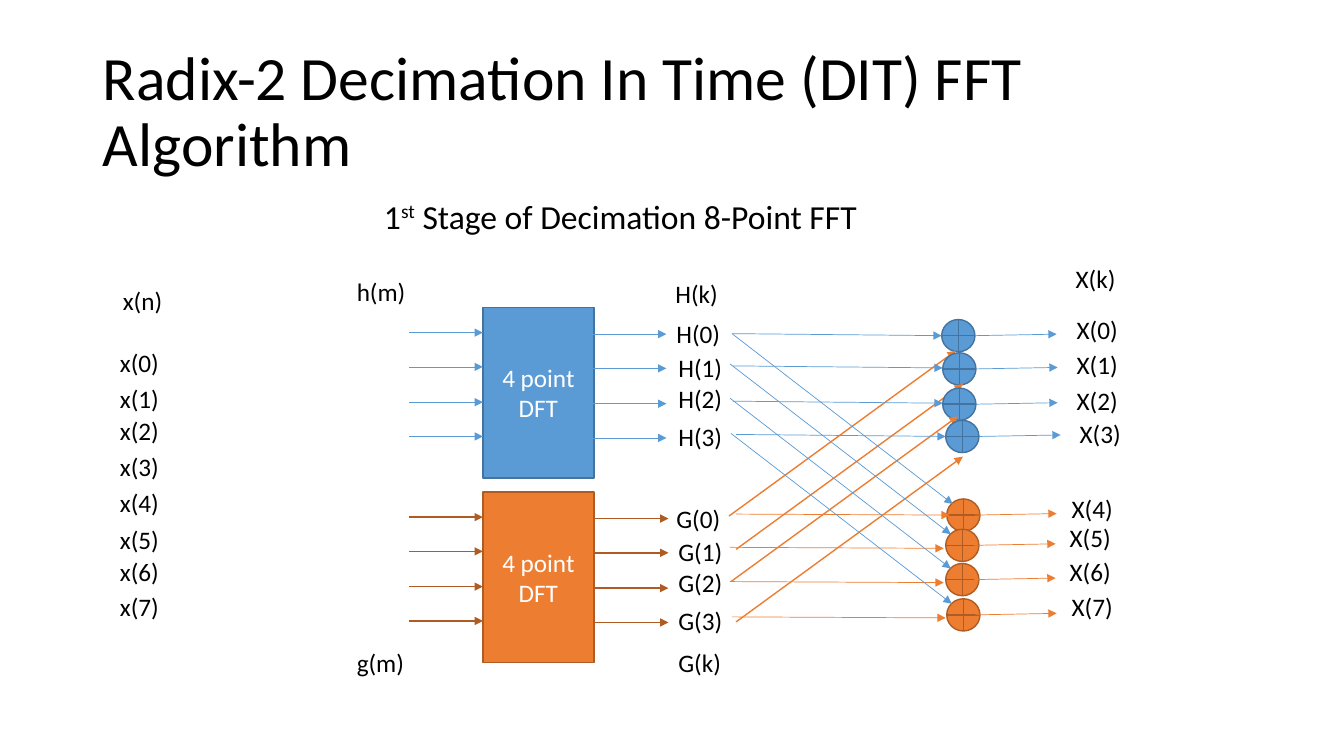
from lxml import etree
from pptx import Presentation
from pptx.dml.color import RGBColor
from pptx.enum.shapes import MSO_CONNECTOR, MSO_SHAPE
from pptx.enum.text import MSO_ANCHOR, PP_ALIGN
from pptx.oxml.ns import qn
from pptx.util import Inches, Pt

STRAIGHT = MSO_CONNECTOR.STRAIGHT
PROCESS = MSO_SHAPE.FLOWCHART_PROCESS
ADDER = MSO_SHAPE.FLOWCHART_OR
MIDDLE = MSO_ANCHOR.MIDDLE
LEFT, CENTER = PP_ALIGN.LEFT, PP_ALIGN.CENTER
BLUE, DARK_BLUE = "5B9BD5", "43739E"
ORANGE, DARK_ORANGE = "ED7D31", "AF5C24"
BLACK, WHITE = "000000", "FFFFFF"

prs = Presentation()
prs.slide_width, prs.slide_height = Inches(13.33), Inches(7.5)
slide = prs.slides.add_slide(prs.slide_layouts[5])
shapes = slide.shapes


def style(font, size, color):
    font.name = "Calibri"
    font.size = Pt(size)
    font.color.rgb = RGBColor.from_string(color)


def arrow(x, y, dx, dy, color, width):
    line = shapes.add_connector(
        STRAIGHT, Inches(x), Inches(y), Inches(x + dx), Inches(y + dy))
    line.line.color.rgb = RGBColor.from_string(color)
    line.line.width = Pt(width)
    etree.SubElement(line.line._get_or_add_ln(), qn("a:tailEnd"), type="triangle")
    etree.SubElement(line._element.spPr, qn("a:effectLst"))


title = shapes.title
title.left, title.top = Inches(0.92), Inches(0.4)
title.width, title.height = Inches(11.5), Inches(1.45)
title.text_frame.text = "Radix-2 Decimation In Time (DIT) FFT Algorithm"
title.text_frame.vertical_anchor = MIDDLE
heading = title.text_frame.paragraphs[0]
heading.alignment = LEFT
heading.line_spacing = 0.9
style(heading.font, 44, BLACK)

dft_blocks = [
    (3.05, 5.88, BLUE, DARK_BLUE, BLUE, 0.5),
    (4.88, 5.9, ORANGE, DARK_ORANGE, DARK_ORANGE, 1),
]
for top, output_x, fill, outline, arrow_color, arrow_width in dft_blocks:
    block = shapes.add_shape(PROCESS, Inches(4.79), Inches(top), Inches(1.1), Inches(1.69))
    block.shadow.inherit = False
    block.fill.solid()
    block.fill.fore_color.rgb = RGBColor.from_string(fill)
    block.line.color.rgb = RGBColor.from_string(outline)
    block.line.width = Pt(1)
    block.text_frame.text = "4 point DFT"
    block.text_frame.word_wrap = True
    block.text_frame.vertical_anchor = MIDDLE
    block.text_frame.paragraphs[0].alignment = CENTER
    style(block.text_frame.paragraphs[0].font, 18, WHITE)
    for offset in (0.25, 0.59, 0.94, 1.28):
        arrow(4.06, top + offset, 0.73, 0, arrow_color, arrow_width)
        arrow(output_x, top + offset + 0.015, 0.73, 0, arrow_color, arrow_width)

upper_rows = [
    ((9.34, 3.17), (7.26, 3.31), (7.23, 5.12)),
    ((9.35, 3.5), (7.27, 3.63), (7.3, 5.45)),
    ((9.35, 3.85), (7.27, 3.98), (7.25, 5.77)),
    ((9.38, 4.17), (7.3, 4.31), (7.3, 6.17)),
]
lower_rows = [
    ((9.39, 4.95), (7.3, 5.1), (7.26, 3.31)),
    ((9.38, 5.25), (7.24, 5.43), (7.24, 3.61)),
    ((9.38, 5.59), (7.24, 5.77), (7.24, 3.95)),
    ((9.39, 5.94), (7.26, 6.12), (7.25, 4.3)),
]
butterflies = [
    (upper_rows, BLUE, DARK_BLUE, (2.08, 0.02), ORANGE, 1, (2.25, -1.64), 0.33),
    (lower_rows, ORANGE, DARK_ORANGE, (2.12, 0.01), BLUE, 0.5, (2.19, 1.69), 0.28),
]
for rows, color, outline, direct, cross_color, cross_width, cross, exit_dx in butterflies:
    for (x, y), direct_start, cross_start in rows:
        adder = shapes.add_shape(ADDER, Inches(x), Inches(y), Inches(0.33), Inches(0.32))
        adder.shadow.inherit = False
        adder.fill.solid()
        adder.fill.fore_color.rgb = RGBColor.from_string(color)
        adder.line.color.rgb = RGBColor.from_string(outline)
        adder.line.width = Pt(1)
        arrow(*direct_start, *direct, color, 0.5)
        arrow(*cross_start, *cross, cross_color, cross_width)
        arrow(x + exit_dx, y + 0.16, 0.81, -0.015, color, 0.5)

labels = [
    ("x(n)", 1.12, 2.78, 0.6),
    ("h(m)", 3.44, 2.69, 0.69),
    ("g(m)", 3.44, 6.37, 0.68),
    ("H(k)", 6.6, 2.71, 0.63),
    ("G(k)", 6.63, 6.37, 0.63),
    ("X(k)", 10.57, 2.56, 0.6),
]
signals = [
    ("x", 0.59, [1.09] * 8, [3.4, 3.75, 4.07, 4.43, 4.79, 5.15, 5.47, 5.82]),
    ("H", 0.64, [6.61, 6.63, 6.63, 6.63], [3.11, 3.45, 3.75, 4.13]),
    ("G", 0.64, [6.61, 6.63, 6.63, 6.63], [4.94, 5.27, 5.58, 5.96]),
    ("X", 0.62, [10.58, 10.58, 10.58, 10.61, 10.53, 10.51, 10.51, 10.53],
     [3.07, 3.42, 3.77, 4.1, 4.84, 5.13, 5.47, 5.82]),
]
for signal, width, lefts, tops in signals:
    for index, (left, top) in enumerate(zip(lefts, tops)):
        labels.append((f"{signal}({index})", left, top, width))

for text, left, top, width in labels:
    label = shapes.add_textbox(Inches(left), Inches(top), Inches(width), Inches(0.4))
    label.text_frame.word_wrap = False
    label.text_frame.text = text
    style(label.text_frame.paragraphs[0].font, 18, BLACK)

stage = shapes.add_textbox(Inches(3.71), Inches(1.89), Inches(4.95), Inches(0.5))
stage.text_frame.word_wrap = False
caption = stage.text_frame.paragraphs[0]
for text in ("1", "st", " Stage of Decimation 8-Point FFT"):
    run = caption.add_run()
    run.text = text
    if text == "st":
        run.font._element.set("baseline", "30000")
style(caption.font, 24, BLACK)

prs.save("out.pptx")
